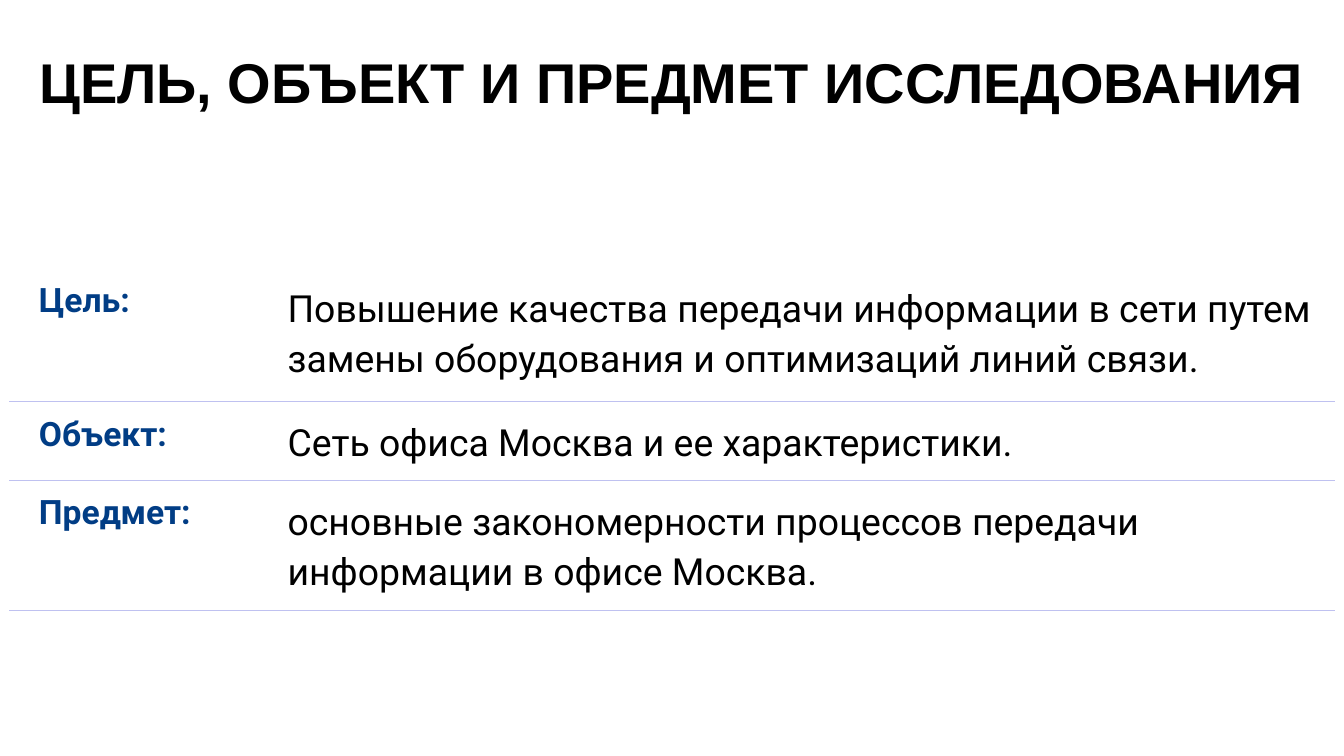
"""Build a slide stating the aim, object and subject of a study."""
import dataclasses
import typing

import lxml.etree
import pptx
import pptx.dml.color
import pptx.enum.text
import pptx.oxml.ns
import pptx.util

Inches = pptx.util.Inches
Pt = pptx.util.Pt


@dataclasses.dataclass(frozen=True)
class Theme:
    head: str = "Arial"
    body: str = "Roboto"
    black: str = "000000"
    navy: str = "013D85"
    white: str = "FFFFFF"
    rule: str = "BFC1F0"
    title: int = 30
    label: int = 18
    text: int = 20
    lead: float = 1.15
    line: float = 0.75


class Style(typing.NamedTuple):
    font: str
    size: int
    color: str
    bold: bool
    lead: typing.Optional[float]


class Entry(typing.NamedTuple):
    label: str
    text: str
    height: float


THEME = Theme()
TITLE = Style(THEME.head, THEME.title, THEME.black, True, THEME.lead)
LABEL = Style(THEME.body, THEME.label, THEME.navy, True, None)
TEXT = Style(THEME.body, THEME.text, THEME.black, False, THEME.lead)
LEFT = 0.07
WIDTHS = (1.85, 8.01)
ENTRIES = (
    Entry("Цель:", "Повышение качества передачи информации в сети путем "
          "замены оборудования и оптимизаций линий связи.", 1.0),
    Entry("Объект:", "Сеть офиса Москва и ее характеристики.", 0.5),
    Entry("Предмет:", "основные закономерности процессов передачи "
          "информации в офисе Москва.", 0.86),
)


def write(frame: typing.Any, text: str, style: Style) -> None:
    frame.text = text
    para = frame.paragraphs[0]
    para.line_spacing = style.lead
    font = para.runs[0].font
    font.name, font.size, font.bold = style.font, Pt(style.size), style.bold
    font.color.rgb = pptx.dml.color.RGBColor.from_string(style.color)


def edge(cell: typing.Any, side: str, color: typing.Optional[str]) -> None:
    name = pptx.oxml.ns.qn
    props = cell._tc.get_or_add_tcPr()
    line = lxml.etree.SubElement(props, name(f"a:ln{side}"), w=str(Pt(THEME.line)))
    if color is None:
        lxml.etree.SubElement(line, name("a:noFill"))
    else:
        fill = lxml.etree.SubElement(line, name("a:solidFill"))
        lxml.etree.SubElement(fill, name("a:srgbClr"), val=color)


def draw_cell(table: typing.Any, row: int, col: int, text: str, style: Style) -> None:
    cell = table.cell(row, col)
    write(cell.text_frame, text, style)
    cell.margin_left = Inches(0.22)
    cell.margin_right = cell.margin_top = cell.margin_bottom = Inches(0.1)
    edge(cell, "L", THEME.white if col > 0 else None)
    edge(cell, "R", THEME.white if col < len(WIDTHS) - 1 else None)
    edge(cell, "T", THEME.rule if row > 0 else None)
    edge(cell, "B", THEME.rule)
    cell.fill.background()


def draw_title(slide: typing.Any, text: str) -> None:
    box = slide.shapes.add_textbox(
        Inches(LEFT), Inches(0.18), Inches(sum(WIDTHS)), Inches(0.79))
    frame = box.text_frame
    frame.word_wrap = True
    frame.margin_left = frame.margin_right = Inches(0.1)
    frame.margin_top = frame.margin_bottom = Inches(0.1)
    write(frame, text, TITLE)
    frame.paragraphs[0].alignment = pptx.enum.text.PP_ALIGN.CENTER


def draw_table(slide: typing.Any, entries: typing.Sequence[Entry]) -> None:
    table = slide.shapes.add_table(
        len(entries), len(WIDTHS), Inches(LEFT), Inches(1.99),
        Inches(sum(WIDTHS)), Inches(sum(entry.height for entry in entries))).table
    table.first_row = table.horz_banding = False
    for col, width in zip(table.columns, WIDTHS):
        col.width = Inches(width)
    for row, entry in enumerate(entries):
        table.rows[row].height = Inches(entry.height)
        draw_cell(table, row, 0, entry.label, LABEL)
        draw_cell(table, row, 1, entry.text, TEXT)


def main() -> None:
    deck = pptx.Presentation()
    deck.slide_width = Inches(10)
    deck.slide_height = deck.slide_width * 9 // 16
    slide = deck.slides.add_slide(deck.slide_layouts[6])
    draw_title(slide, "ЦЕЛЬ, ОБЪЕКТ И ПРЕДМЕТ ИССЛЕДОВАНИЯ")
    draw_table(slide, ENTRIES)
    deck.save("out.pptx")


if __name__ == "__main__":
    main()
